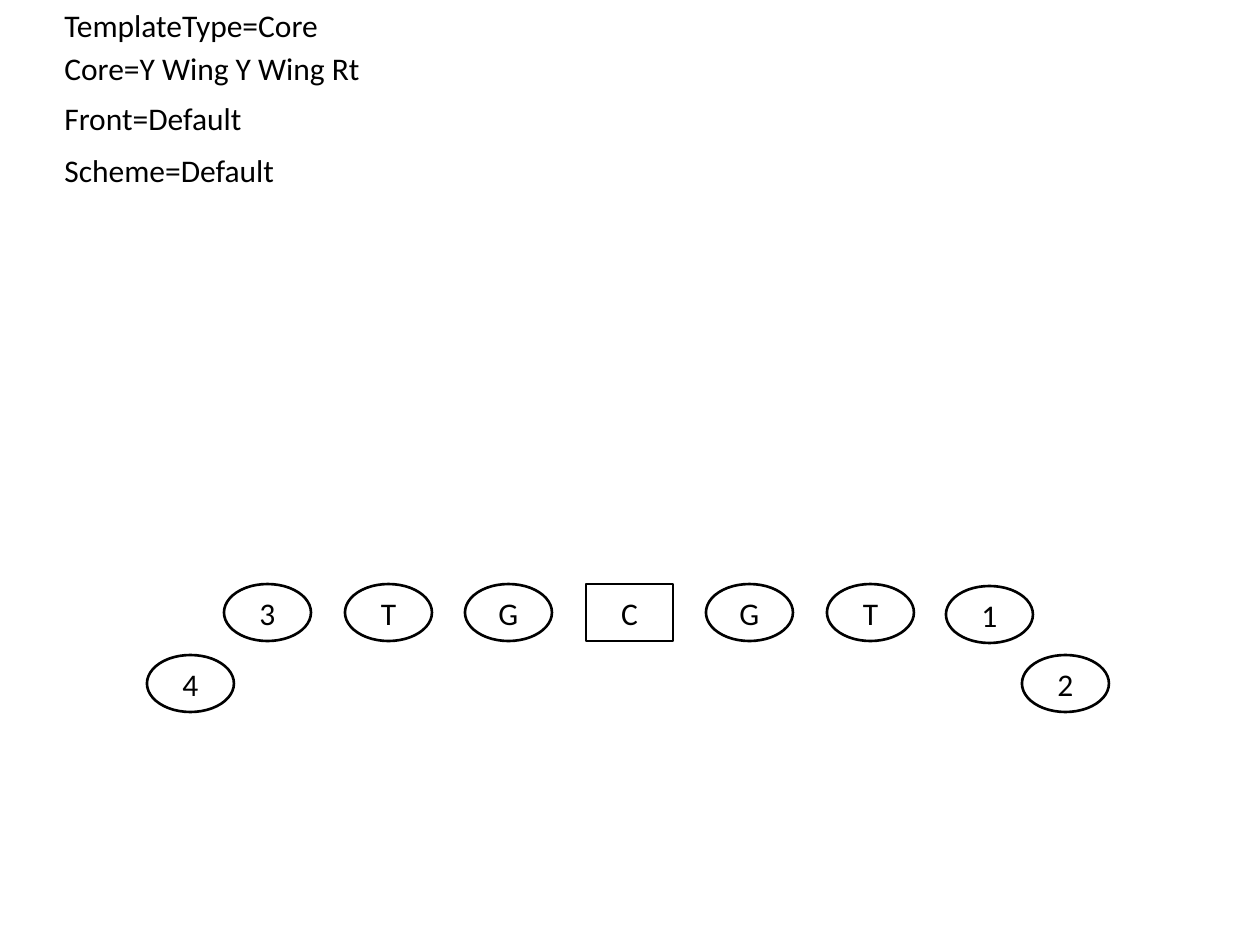
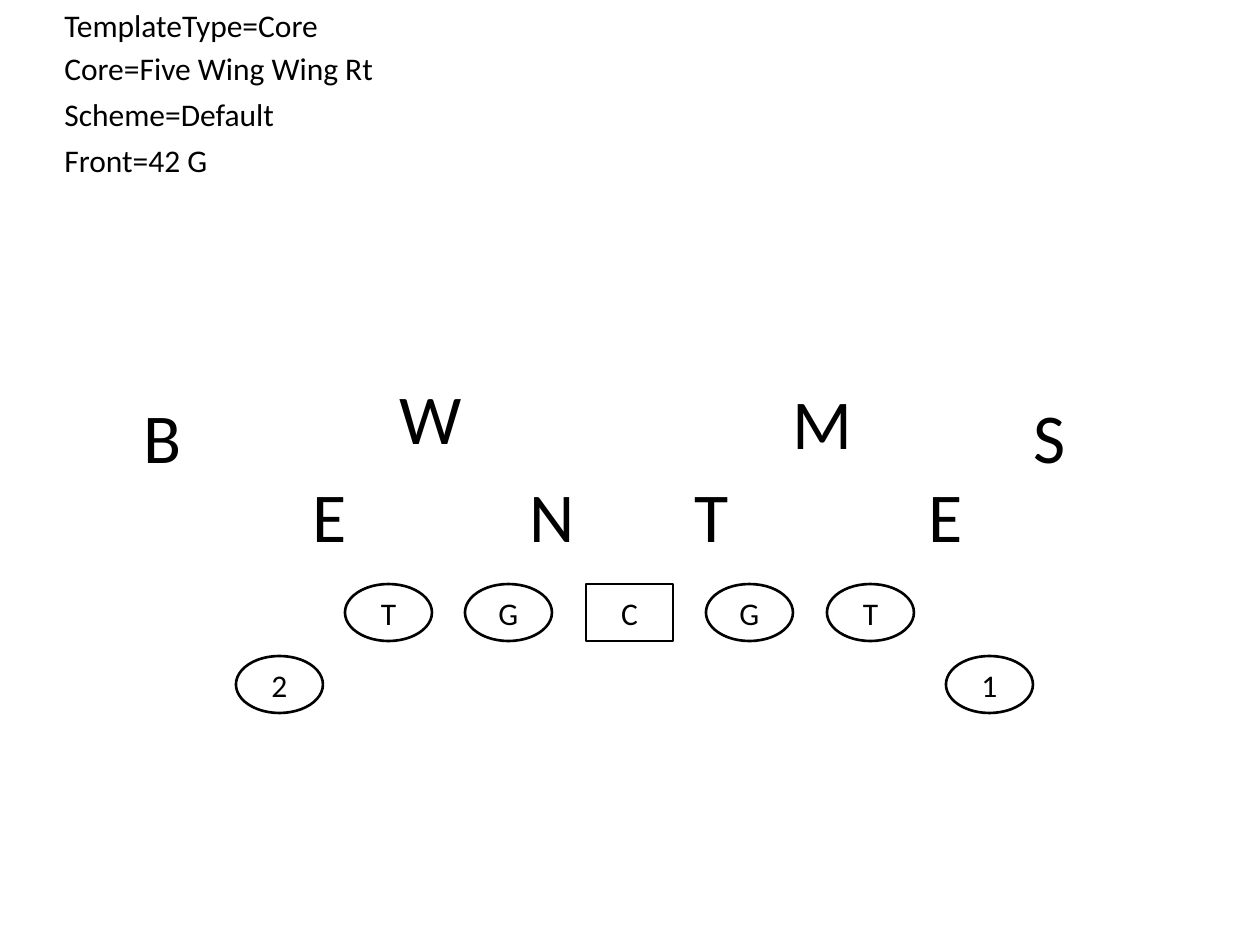
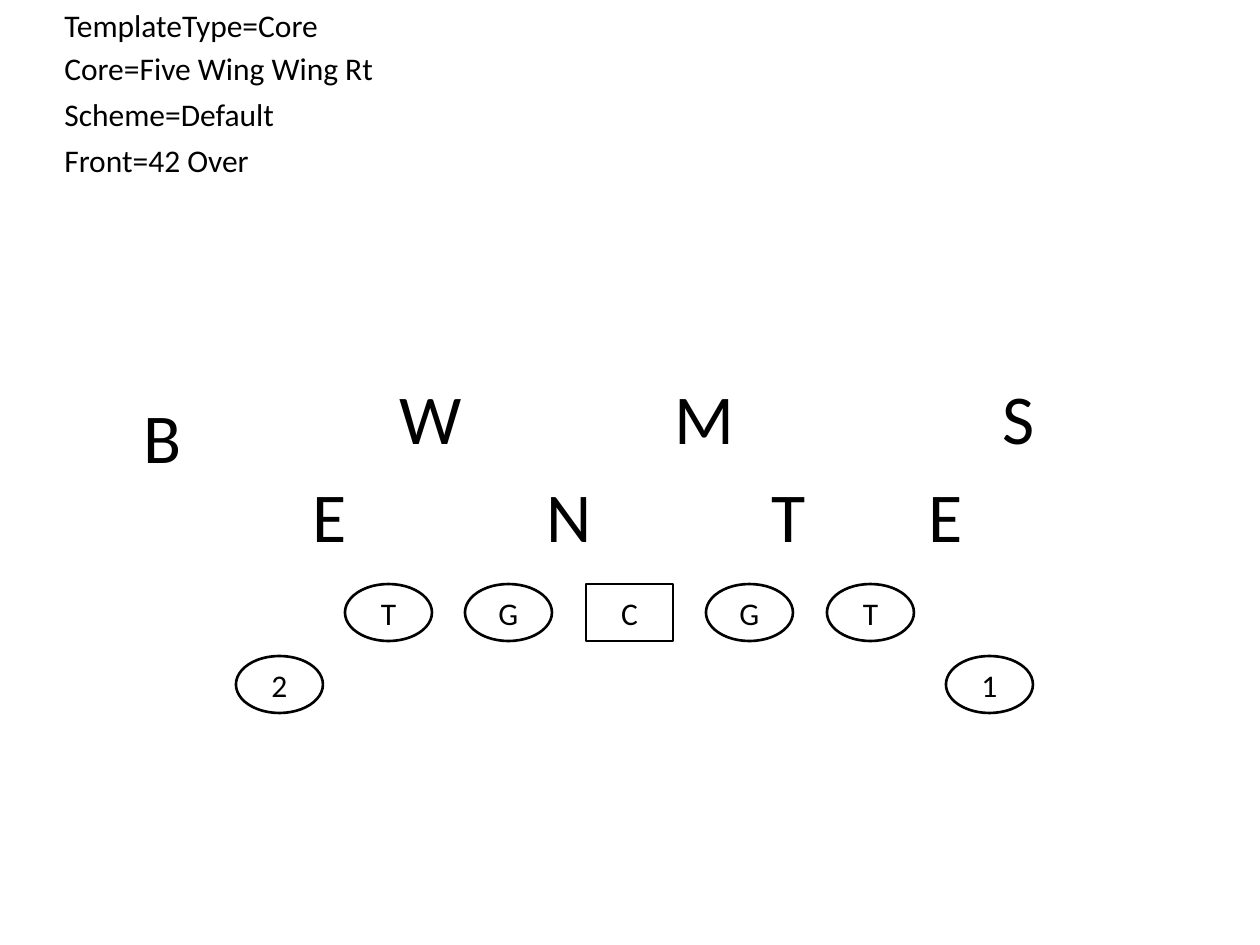
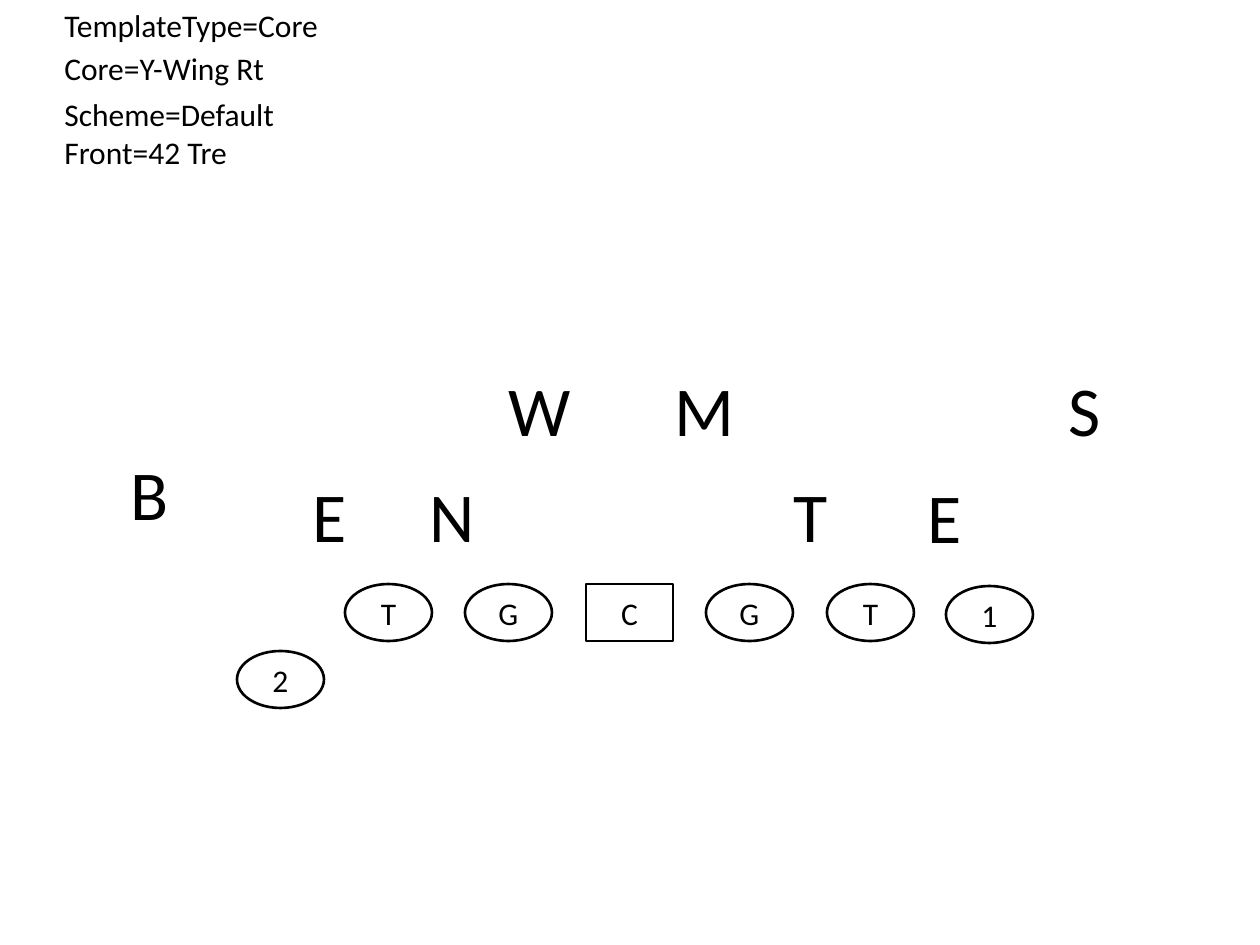
from pptx import Presentation
from pptx.dml.color import RGBColor
from pptx.enum.shapes import MSO_SHAPE as Kind
from pptx.enum.text import MSO_ANCHOR as Anchor, MSO_AUTO_SIZE as Auto, PP_ALIGN as Align
from pptx.util import Emu, Pt

SCALE = 914400 / 126


def px(*vals):
    return [Emu(round(v * SCALE)) for v in vals]


def tint(code):
    return RGBColor.from_string(code)


def put(item, form):
    for key, val in form.items():
        setattr(item, key, val)


class Play:
    """Draws football formation slides in one shared style."""

    ink, paper = "000000", "FFFFFF"
    font = {"name": "Calibri"}
    mark = {"word_wrap": True, "vertical_anchor": Anchor.MIDDLE}
    free = {"word_wrap": False, "auto_size": Auto.SHAPE_TO_FIT_TEXT}
    wide = {"N": 71, "T": 60, "E": 60, "W": 88, "M": 88, "S": 58, "B": 64}
    note_x, size, row = 52, (87, 57), 584
    mid, pitch = 586, 120.5

    def __init__(self):
        self.deck = Presentation()
        put(self.deck, dict(zip(("slide_width", "slide_height"), px(1260, 945))))

    def start(self):
        self.slide = self.deck.slides.add_slide(self.deck.slide_layouts[6])

    def letter(self, shape, text, size, frame, align):
        put(shape.text_frame, frame)
        para = shape.text_frame.paragraphs[0]
        para.alignment = align
        run = para.add_run()
        run.text = text
        put(run.font, {**self.font, "size": Pt(size)})
        run.font.color.rgb = tint(self.ink)

    def label(self, text, x, y, w, h, size):
        box = self.slide.shapes.add_textbox(*px(x, y, w, h))
        self.letter(box, text, size, self.free, Align.LEFT)

    def note(self, text, y, w):
        self.label(text, self.note_x, y, w, 50, 18)

    def back(self, text, x, y):
        self.label(text, x, y, self.wide[text], 97, 40)

    def man(self, text, x, y, kind=Kind.OVAL):
        shape = self.slide.shapes.add_shape(kind, *px(x, y, *self.size))
        shape.shadow.inherit = False
        shape.fill.solid()
        shape.fill.fore_color.rgb = tint(self.paper)
        shape.line.color.rgb = tint(self.ink)
        shape.line.width = Pt(1.5)
        self.letter(shape, text, 18, self.mark, Align.CENTER)

    def line(self):
        for i, text in enumerate("TGCGT", -2):
            kind = Kind.OVAL if i else Kind.RECTANGLE
            self.man(text, int(self.mid + i * self.pitch), self.row, kind)

    def save(self):
        self.deck.save("out.pptx")


FIVE = ("Core=Five Wing Wing Rt", 43, 338)
PLAIN = ("Scheme=Default", 89, 238)
WINGS = [("1", 946, 656), ("2", 236, 656)]
END = ("1", 946, 586)
LEFT = ("E", 300, 466)
RIGHT = ("E", 916, 466)
WILL = ("W", 387, 368)
BACK = ("B", 131, 387)

PLAYS = [
    ([("Core=Y Wing Y Wing Rt", 43, 324), ("Front=Default", 93, 204),
      ("Scheme=Default", 145, 238)],
     [],
     [END, ("3", 224, 584), ("2", 1022, 655), ("4", 147, 655)]),
    ([FIVE, PLAIN, ("Front=42 G", 135, 170)],
     [("N", 517, 466), ("T", 682, 466), RIGHT, LEFT, WILL,
      ("M", 780, 373), ("S", 1021, 387), BACK],
     WINGS),
    ([FIVE, PLAIN, ("Front=42 Over", 135, 212)],
     [("N", 534, 466), ("T", 759, 466), RIGHT, LEFT, WILL,
      ("M", 662, 368), ("S", 990, 368), BACK],
     WINGS),
    ([("Core=Y-Wing Rt", 43, 229), PLAIN, ("Front=42 Tre", 127, 190)],
     [("N", 417, 466), ("T", 781, 466), ("E", 915, 467), LEFT,
      ("W", 496, 360), ("M", 662, 360), ("S", 1056, 360), ("B", 118, 444)],
     [END, ("2", 237, 651)]),
]

play = Play()
for notes, backs, men in PLAYS:
    play.start()
    play.note("TemplateType=Core", 0, 282)
    for note in notes:
        play.note(*note)
    play.line()
    for back in backs:
        play.back(*back)
    for man in men:
        play.man(*man)
play.save()
